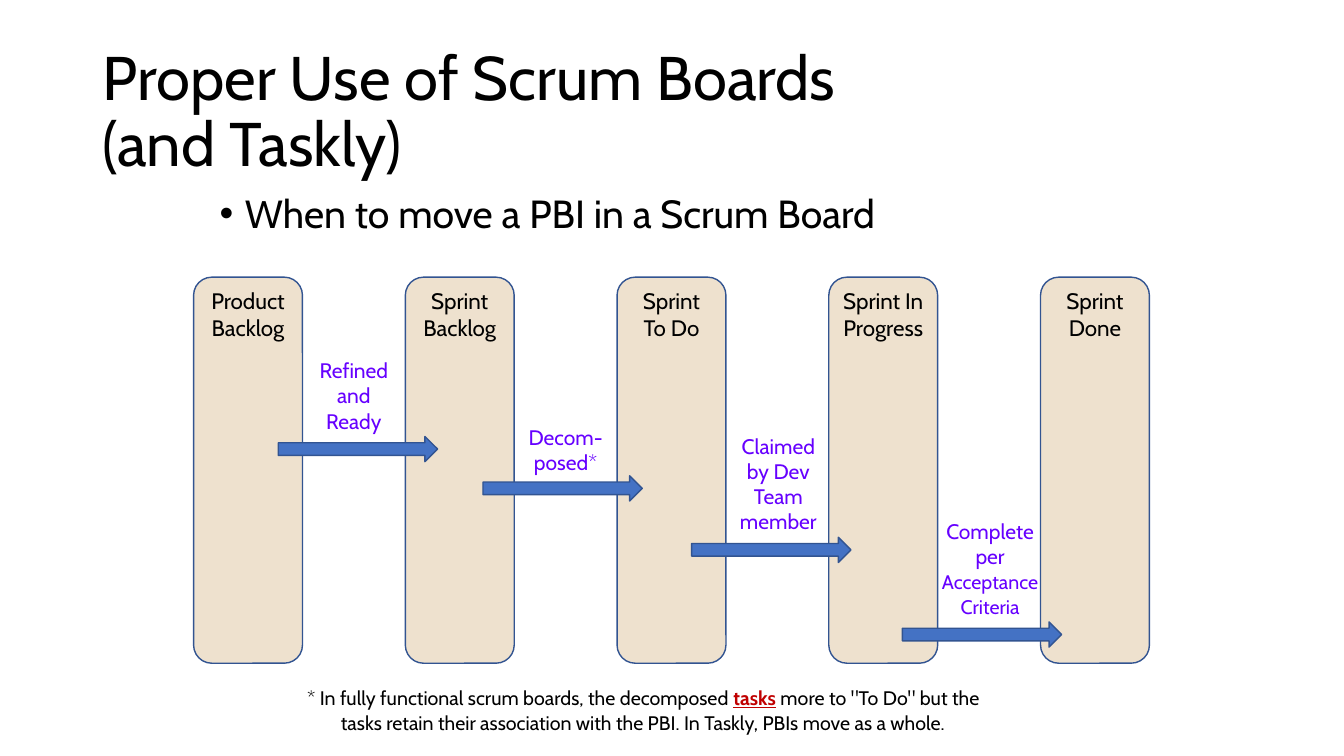
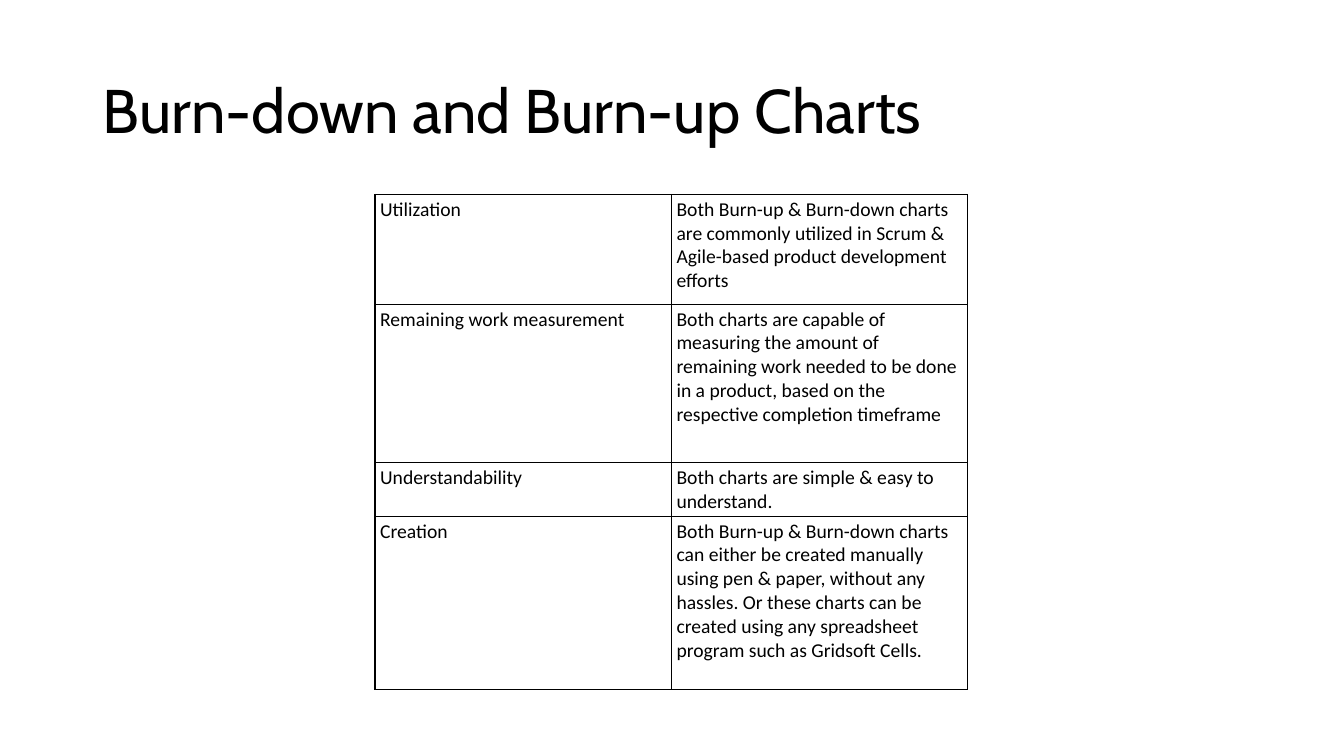
from lxml import etree
from pptx import Presentation
from pptx.dml.color import RGBColor
from pptx.enum.shapes import MSO_SHAPE
from pptx.enum.text import MSO_ANCHOR, MSO_AUTO_SIZE, PP_ALIGN
from pptx.oxml.ns import qn
from pptx.util import Pt

PX = 9144  # EMU per px, 100 px to the inch
ROUNDED, ARROW = MSO_SHAPE.ROUNDED_RECTANGLE, MSO_SHAPE.RIGHT_ARROW
TOP, MIDDLE = MSO_ANCHOR.TOP, MSO_ANCHOR.MIDDLE
LEFT, CENTER = PP_ALIGN.LEFT, PP_ALIGN.CENTER
GROW, FIXED = MSO_AUTO_SIZE.SHAPE_TO_FIT_TEXT, MSO_AUTO_SIZE.NONE

BLACK = RGBColor(0x00, 0x00, 0x00)
SAND = RGBColor(0xEE, 0xE1, 0xCE)
BLUE = RGBColor(0x44, 0x72, 0xC4)
NAVY = RGBColor(0x32, 0x54, 0x91)
VIOLET = RGBColor(0x66, 0x00, 0xFF)
RED = RGBColor(0xC0, 0x00, 0x00)

COLUMNS = ["Product Backlog", "Sprint Backlog", "Sprint To Do",
           "Sprint In Progress", "Sprint Done"]
COLUMN_LEFT, COLUMN_PITCH = 192, 210
ARROWS = [(276, 433), (479, 472), (686, 533), (895, 617)]
LABELS = [
    ((301, 350, 100, 86), [[("Refined and Ready", {})]]),
    ((490, 416, 142, 61), [[("Decom-posed*", {})]]),
    ((701, 425, 142, 111), [[("Claimed\nby Dev", {})], [("Team member", {})]]),
    ((911, 509, 142, 111), [[("Complete\nper", {})],
                            [("Acceptance\nCriteria", {"size": Pt(14)})]]),
]
FOOTNOTE = [[
    ("* In fully functional scrum boards, the decomposed ", {}),
    ("tasks", {"color": RED, "bold": True, "underline": True}),
    (' more to "To Do" but the tasks retain their association with the PBI. '
     "In Taskly, PBIs move as a whole.", {}),
]]
CHART_FACTS = [
    (109, "Utilization",
     "Both Burn-up & Burn-down charts are commonly utilized in Scrum & "
     "Agile-based product development efforts"),
    (157, "Remaining work measurement",
     "Both charts are capable of measuring the amount of remaining work needed "
     "to be done in a product, based on the respective completion timeframe"),
    (51, "Understandability", "Both charts are simple & easy to understand."),
    (172, "Creation",
     "Both Burn-up & Burn-down charts can either be created manually using pen "
     "& paper, without any hassles. Or these charts can be created using any "
     "spreadsheet program such as Gridsoft Cells."),
]


def px(*lengths):
    return [length * PX for length in lengths]


def apply(target, formats):
    for name, value in formats.items():
        setattr(target, name, value)


class Deck:
    def __init__(self, width, height):
        self.show = Presentation()
        self.show.slide_width, self.show.slide_height = px(width, height)
        self.page = None

    def add_page(self, title):
        self.page = self.show.slides.add_slide(self.show.slide_layouts[5])
        box = self.page.shapes.title
        place = zip(("left", "top", "width", "height"), px(92, 40, 1150, 145))
        apply(box, dict(place))
        self.fill_text(box.text_frame, [[(title, {})]], 44,
                       paragraph={"alignment": LEFT, "line_spacing": 0.9},
                       frame={"vertical_anchor": MIDDLE, "auto_size": FIXED})

    def fill_text(self, text_frame, paragraphs, size, color=BLACK, font="Cabin",
                  paragraph=None, frame=None):
        """Fill a text frame from paragraphs of (text, formats) spans."""
        apply(text_frame, {"word_wrap": True, **(frame or {})})
        for index, spans in enumerate(paragraphs):
            para = text_frame.add_paragraph() if index else text_frame.paragraphs[0]
            apply(para, paragraph or {})
            for text, formats in spans:
                style = {"name": font, "size": Pt(size), "color": color, **formats}
                self.add_span(para, text, style)

    def add_span(self, para, text, style):
        tint = style.pop("color")
        for index, line in enumerate(text.split("\n")):
            if index:
                para.add_line_break()
            span = para.add_run()
            span.text = line
            apply(span.font, style)
            span.font.color.rgb = tint

    def add_text(self, place, paragraphs, size, color=BLACK):
        box = self.page.shapes.add_textbox(*px(*place))
        self.fill_text(box.text_frame, paragraphs, size, color,
                       paragraph={"alignment": CENTER, "line_spacing": Pt(18)},
                       frame={"auto_size": GROW})

    def add_bullet(self, place, text):
        box = self.page.shapes.add_textbox(*px(*place))
        para = box.text_frame.paragraphs[0]
        properties = para._p.get_or_add_pPr()
        indent = 25 * PX
        properties.set("marL", str(indent))
        properties.set("indent", str(-indent))
        etree.SubElement(properties, qn("a:buFont")).set("typeface", "Arial")
        etree.SubElement(properties, qn("a:buChar")).set("char", "•")
        self.fill_text(box.text_frame, [[(text, {})]], 28,
                       paragraph={"line_spacing": 0.9})

    def add_shape(self, kind, place, fill):
        shape = self.page.shapes.add_shape(kind, *px(*place))
        shape.shadow.inherit = False
        shape.fill.solid()
        shape.fill.fore_color.rgb = fill
        shape.line.color.rgb = NAVY
        shape.line.width = Pt(1)
        return shape

    def add_column(self, place, name, side_margin):
        shape = self.add_shape(ROUNDED, place, SAND)
        margin = side_margin * PX
        self.fill_text(shape.text_frame, [[(name, {})]], 16,
                       paragraph={"alignment": CENTER},
                       frame={"vertical_anchor": TOP, "margin_left": margin,
                              "margin_right": margin})

    def add_table(self, place, rows):
        """Add a bordered table from rows of (height, text, text)."""
        table = self.page.shapes.add_table(len(rows), 2, *px(*place)).table
        apply(table, {"first_row": False, "horz_banding": False})
        for row, (height, *texts) in zip(table.rows, rows):
            row.height = height * PX
            for cell, text in zip(row.cells, texts):
                apply(cell, {"margin_left": 5 * PX, "margin_right": 5 * PX,
                             "margin_top": 3 * PX, "margin_bottom": 3 * PX})
                self.fill_text(cell.text_frame, [[(text, {})]], 14, font="Calibri")
                self.add_borders(cell)
                cell.fill.background()

    def add_borders(self, cell):
        properties = cell._tc.get_or_add_tcPr()
        for side in ("lnL", "lnR", "lnT", "lnB"):
            line = etree.SubElement(properties, qn(f"a:{side}"), w=str(Pt(1)))
            fill = etree.SubElement(line, qn("a:solidFill"))
            etree.SubElement(fill, qn("a:srgbClr"), val=str(BLACK))


def build_board(deck):
    deck.add_page("Proper Use of Scrum Boards\n(and Taskly)")
    deck.add_bullet((208, 188, 919, 62), "When to move a PBI in a Scrum Board")
    for index, name in enumerate(COLUMNS):
        left = COLUMN_LEFT + index * COLUMN_PITCH
        side_margin = 0 if name == "Sprint In Progress" else 10
        deck.add_column((left, 275, 108, 383), name, side_margin)
    for left, top in ARROWS:
        deck.add_shape(ARROW, (left, top, 158, 25), BLUE)
    for place, paragraphs in LABELS:
        deck.add_text(place, paragraphs, 15, VIOLET)
    deck.add_text((291, 674, 694, 61), FOOTNOTE, 14)


def build_charts_table(deck):
    deck.add_page("Burn-down and Burn-up Charts")
    deck.add_table((372, 193, 588, 489), CHART_FACTS)


def main():
    deck = Deck(1333, 750)
    build_board(deck)
    build_charts_table(deck)
    deck.show.save("out.pptx")


if __name__ == "__main__":
    main()
